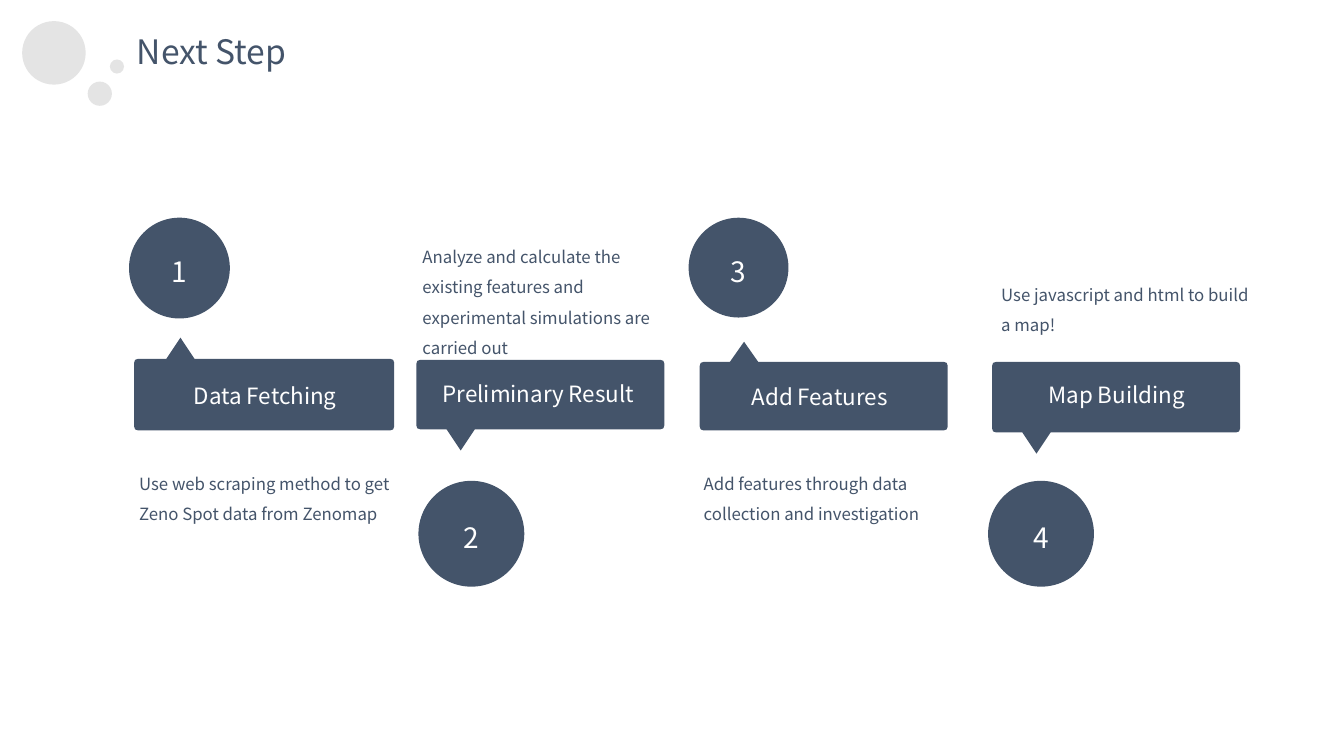
from lxml import etree
from pptx import Presentation
from pptx import util as u
from pptx.dml.color import RGBColor
from pptx.enum import shapes, text
from pptx.oxml.ns import qn

PX = 9144  # EMU per px, 100 px to the inch
FONT = "Noto Sans CJK SC"
INK = {"navy": "44546A", "white": "FFFFFF", "grey": "D9D9D9"}
LOOK = {
    "title": {"size": 24, "ink": "navy", "align": "LEFT", "lead": 1.0},
    "num": {"size": 20, "ink": "white", "align": "CENTER", "lead": 1.2},
    "label": {"size": 16, "ink": "white", "align": "CENTER", "lead": 1.0},
    "note": {"size": 12, "ink": "navy", "align": "LEFT", "lead": 1.5},
}

prs = Presentation()
prs.slide_width, prs.slide_height = 1333 * PX, 750 * PX
slide = prs.slides.add_slide(prs.slide_layouts[6])
parts = slide.shapes


def paint(shape, ink):
    shape.shadow.inherit = False
    shape.fill.solid()
    shape.fill.fore_color.rgb = RGBColor.from_string(INK[ink])
    shape.line.fill.background()


def write(shape, words, kind, inset=0, wrap=True, anchor="TOP"):
    look, frame = LOOK[kind], shape.text_frame
    sides = dict.fromkeys(("left", "top", "right", "bottom"), inset * PX)
    form = {f"margin_{side}": gap for side, gap in sides.items()}
    form["word_wrap"] = wrap
    form["vertical_anchor"] = text.MSO_ANCHOR[anchor]
    for name, value in form.items():
        setattr(frame, name, value)
    para = frame.paragraphs[0]
    para.text = words
    para.alignment = text.PP_ALIGN[look["align"]]
    para.line_spacing = look["lead"]
    for name, value in {"name": FONT, "size": u.Pt(look["size"])}.items():
        setattr(para.font, name, value)
    para.font.color.rgb = RGBColor.from_string(INK[look["ink"]])


# Pale dots beside the title
for x, y, d in [(22, 21, 63), (87, 81, 24), (109, 59, 14)]:
    dot = parts.add_shape(shapes.MSO_SHAPE.FLOWCHART_CONNECTOR,
                          x * PX, y * PX, d * PX, d * PX)
    paint(dot, "grey")
    tint = dot.fill._xPr.find(qn("a:solidFill"))[0]
    etree.SubElement(tint, qn("a:alpha")).set("val", "70000")

# Title
head = parts.add_textbox(126 * PX, 26 * PX, 178 * PX, 50 * PX)
write(head, "Next Step", "title", inset=10, wrap=False)
head.text_frame.margin_top = head.text_frame.margin_bottom = 5 * PX

# Steps: banner box, tail tip and length (negative points up),
# circle, label box, note box, label, note
steps = [
    ((133, 356, 258, 71), 46, -21, (128, 216, 100),
     (182, 379, 162, 27), (138, 460, 250, 87),
     "Data Fetching",
     "Use web scraping method to get Zeno Spot data from Zenomap"),
    ((413, 357, 246, 69), 44, 21, (415, 477, 105),
     (437, 377, 194, 27), (419, 235, 248, 118),
     "Preliminary Result",
     "Analyze and calculate the existing features and "
     "experimental simulations are carried out"),
    ((694, 359, 246, 68), 44, -20, (683, 216, 99),
     (728, 380, 170, 27), (698, 460, 237, 57),
     "Add Features",
     "Add features through data collection and investigation"),
    ((984, 359, 246, 70), 44, 21, (980, 477, 105),
     (1016, 378, 183, 27), (993, 272, 252, 57),
     "Map Building",
     "Use javascript and html to build a map!"),
]

for num, step in enumerate(steps, 1):
    (x, y, w, h), tip, tail, (cx, cy, d), spot, area, label, note = step

    # Banner with soft corners and a tail
    top = [(0, 4), (1, 1), (4, 0)]
    top_end = [(w - 4, 0), (w - 1, 1), (w, 4)]
    low = [(w, h - 4), (w - 1, h - 1), (w - 4, h)]
    low_end = [(4, h), (1, h - 1), (0, h - 4)]
    if tail < 0:
        top += [(tip - 14, 0), (tip, tail), (tip + 14, 0)]
    else:
        low += [(tip + 14, h), (tip, h + tail), (tip - 14, h)]
    edge = [(x + a, y + b) for a, b in top + top_end + low + low_end]
    pen = parts.build_freeform(*edge[0], scale=PX)
    pen.add_line_segments(edge[1:], close=True)
    paint(pen.convert_to_shape(), "navy")

    # Numbered circle
    disc = parts.add_shape(shapes.MSO_SHAPE.OVAL,
                           cx * PX, cy * PX, d * PX, d * PX)
    paint(disc, "navy")
    write(disc, str(num), "num", inset=3, anchor="MIDDLE")

    # Label and note
    for box, words, kind in [(spot, label, "label"), (area, note, "note")]:
        write(parts.add_textbox(*(n * PX for n in box)), words, kind)

prs.save("out.pptx")
